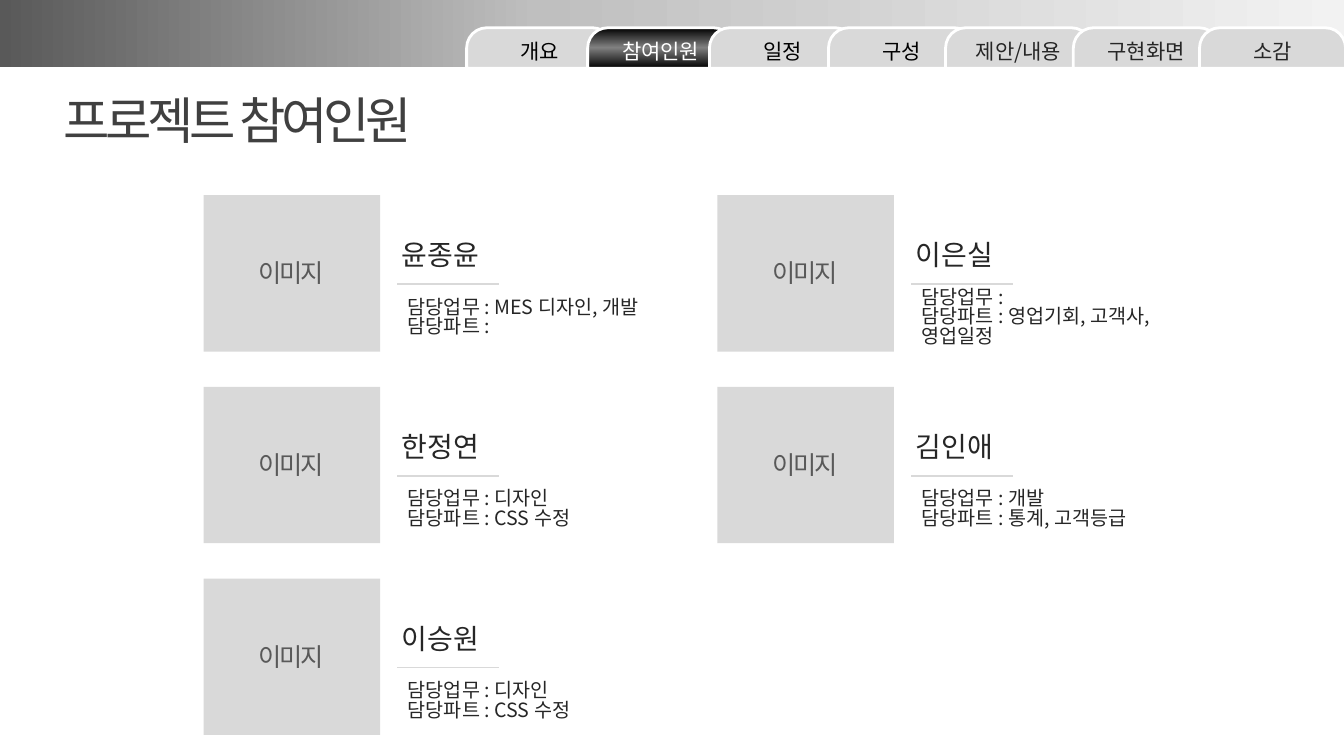
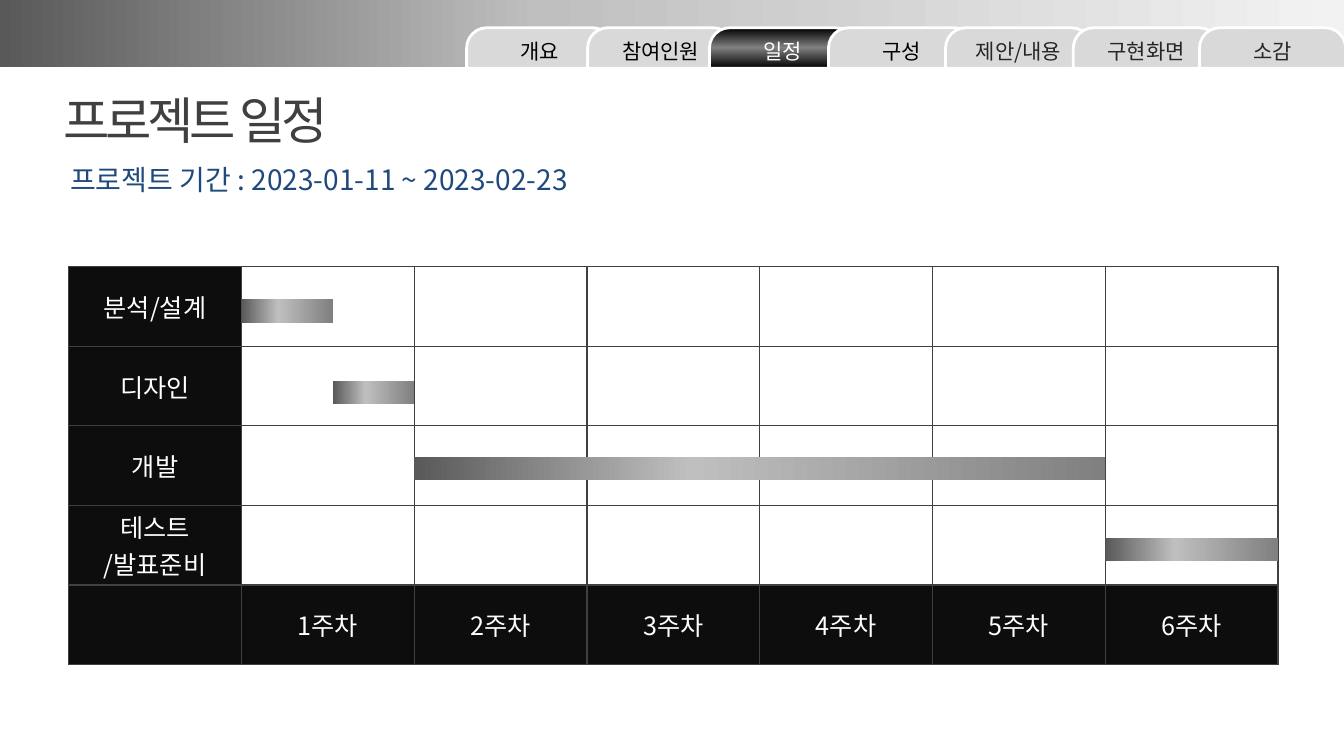
from lxml import etree
from pptx import Presentation
from pptx import util as u
from pptx.dml import color as dml_color
from pptx.enum import shapes, text
from pptx.oxml import ns

# Shared look
FONT = "Noto Sans CJK KR"
GREY, DARK, WHITE = "D9D9D9", "262626", "FFFFFF"
BAND_STOPS = [(0, "595959"), (40, "BFBFBF"), (100, "F2F2F2")]
BAR_STOPS = [(0, "595959"), (40, "BFBFBF"), (100, "808080")]
TAB_STOPS = [(0, "000000"), (51, "808080"), (100, "000000")]

# Text formats: size, colour, tracking in points, paragraph attributes
CENTER = {"alignment": text.PP_ALIGN.CENTER}
LEFT = {"alignment": text.PP_ALIGN.LEFT}
TITLE = {"size": 36, "color": "404040", "tracking": -3, "paragraph": LEFT}
PERIOD = {"size": 20, "color": "1F497D", "paragraph": LEFT}
NAME = {"size": 20, "color": DARK, "paragraph": LEFT}
DUTY = {"size": 14, "color": DARK, "paragraph": {**LEFT, "line_spacing": 0.83}}
CAPTION = {"size": 18, "color": "595959", "tracking": -1.5, "paragraph": LEFT}
TAB = {"size": 15, "color": "000000", "paragraph": CENTER}
CELL = {"size": 18, "color": WHITE, "paragraph": CENTER}

# Navigation tabs: label, left edge, text colour
TABS = [
    ("개요", 11.76, "000000"),
    ("참여인원", 14.81, "000000"),
    ("일정", 17.88, "000000"),
    ("구성", 20.88, "000000"),
    ("제안/내용", 23.83, DARK),
    ("구현화면", 27.05, DARK),
    ("소감", 30.23, DARK),
]

# Team members: name, duty, part
MEMBERS = [
    ("윤종윤", "담당업무 : MES 디자인, 개발", "담당파트 :"),
    ("이은실", "담당업무 :", "담당파트 : 영업기회, 고객사, 영업일정"),
    ("한정연", "담당업무 : 디자인", "담당파트 : CSS 수정"),
    ("김인애", "담당업무 : 개발", "담당파트 : 통계, 고객등급"),
    ("이승원", "담당업무 : 디자인", "담당파트 : CSS 수정"),
]

# Schedule: phases, and bars as top edge, first week, number of weeks
PHASES = [["분석/설계"], ["디자인"], ["개발"], ["테스트", "/발표준비"]]
WEEKS = 6
BARS = [(7.54, 0, 0.53), (9.6, 0.53, 0.47), (11.51, 1, 4), (13.56, 5, 1)]


def rgb(value):
    return dml_color.RGBColor.from_string(value)


def set_attributes(target, values):
    for name, value in values.items():
        setattr(target, name, value)


def write_text(frame, lines, style):
    """Fill a text frame with one paragraph per line."""
    for index, line in enumerate(lines):
        paragraph = frame.add_paragraph() if index else frame.paragraphs[0]
        set_attributes(paragraph, style["paragraph"])
        run = paragraph.add_run()
        run.text = line
        set_attributes(run.font, {"size": u.Pt(style["size"]), "name": FONT})
        run.font.color.rgb = rgb(style["color"])
        properties = run._r.get_or_add_rPr()
        if "tracking" in style:
            properties.set("spc", str(int(style["tracking"] * 100)))
        etree.SubElement(properties, ns.qn("a:ea"), typeface=FONT)


def add_text(slide, box, lines, style, fit=False):
    """Add a text box; a fitted one grows with its text instead of wrapping."""
    frame = slide.shapes.add_textbox(*map(u.Cm, box)).text_frame
    set_attributes(frame, {
        "word_wrap": not fit,
        "auto_size": text.MSO_AUTO_SIZE.SHAPE_TO_FIT_TEXT if fit else text.MSO_AUTO_SIZE.NONE,
        "vertical_anchor": text.MSO_ANCHOR.TOP if fit else text.MSO_ANCHOR.MIDDLE,
    })
    write_text(frame, lines, style)


def fill_gradient(shape, stops, angle):
    shape.fill.gradient()
    shape.fill.gradient_angle = angle
    stop_list = shape._element.spPr.find(ns.qn("a:gradFill")).find(ns.qn("a:gsLst"))
    stop_list.clear()
    for position, value in stops:
        stop = etree.SubElement(stop_list, ns.qn("a:gs"), pos=str(position * 1000))
        etree.SubElement(stop, ns.qn("a:srgbClr"), val=value)


def add_block(slide, box, fill, kind=shapes.MSO_SHAPE.RECTANGLE, angle=0):
    """Add an unlined shape, filled with a colour or with gradient stops."""
    shape = slide.shapes.add_shape(kind, *map(u.Cm, box))
    shape.shadow.inherit = False
    shape.line.fill.background()
    if isinstance(fill, str):
        shape.fill.solid()
        shape.fill.fore_color.rgb = rgb(fill)
    else:
        fill_gradient(shape, fill, angle)
    return shape


def add_rule(slide, left, right, top):
    line = slide.shapes.add_connector(
        shapes.MSO_CONNECTOR.STRAIGHT, *map(u.Cm, (left, top, right, top)))
    line.line.color.rgb = rgb(GREY)
    line.line.width = u.Pt(1)
    etree.SubElement(line._element.spPr, ns.qn("a:effectLst"))


def add_tab(slide, label, left, label_color, active):
    tab = add_block(slide, (left, 0.7, 3.68, 1.02), TAB_STOPS if active else GREY,
                    shapes.MSO_SHAPE.ROUND_2_SAME_RECTANGLE, 90)
    tab.adjustments[0] = 0.5
    tab.adjustments[1] = 0
    tab.line.color.rgb = rgb(WHITE)
    tab.line.width = u.Pt(2)
    tab.text_frame.vertical_anchor = text.MSO_ANCHOR.MIDDLE
    write_text(tab.text_frame, [label], {**TAB, "color": WHITE if active else label_color})


def add_page(presentation, title, title_width, active_tab):
    """Start a slide with the top band, the title and the tabs."""
    slide = presentation.slides.add_slide(presentation.slide_layouts[6])
    add_block(slide, (0, -0.03, 33.87, 1.73), BAND_STOPS)
    add_text(slide, (1.35, 2.13, title_width, 1.8), [title], TITLE, fit=True)
    for label, left, label_color in TABS:
        add_tab(slide, label, left, label_color, label == active_tab)
    return slide


def add_member(slide, left, top, name, *duties):
    add_block(slide, (left, top, 4.45, 3.94), GREY)
    add_text(slide, (left + 1.13, top + 1.45, 2.16, 1.02), ["이미지"], CAPTION, fit=True)
    add_text(slide, (left + 4.75, top + 1.04, 4.6, 0.91), [name], NAME)
    add_rule(slide, left + 4.88, left + 7.44, top + 2.24)
    add_text(slide, (left + 4.9, top + 2.64, 7.6, 0.91), duties, DUTY)


def format_cell(cell, lines, dark):
    set_attributes(cell, {"margin_top": 0, "margin_bottom": 0,
                          "vertical_anchor": text.MSO_ANCHOR.MIDDLE})
    properties = cell._tc.get_or_add_tcPr()
    for side in ("lnL", "lnR", "lnT", "lnB"):
        border = etree.SubElement(properties, ns.qn(f"a:{side}"), w=str(u.Pt(1)))
        solid = etree.SubElement(border, ns.qn("a:solidFill"))
        etree.SubElement(solid, ns.qn("a:srgbClr"), val="404040")
    if dark:
        cell.fill.solid()
        cell.fill.fore_color.rgb = rgb("0D0D0D")
    else:
        cell.fill.background()
    write_text(cell.text_frame, lines, CELL)


def add_schedule(slide):
    left, top, width, height = 1.73, 6.72, 30.48, 10.03
    column_width = width / (WEEKS + 1)
    row_count = len(PHASES) + 1
    table = slide.shapes.add_table(
        row_count, WEEKS + 1, *map(u.Cm, (left, top, width, height))).table
    set_attributes(table, {"first_row": False, "horz_banding": False})
    for column in table.columns:
        column.width = u.Cm(column_width)
    for row in table.rows:
        row.height = u.Cm(height / row_count)

    # Phases run down the first column, weeks along the last row
    empty = [[]] * WEEKS
    rows = [[phase, *empty] for phase in PHASES]
    rows.append([[], *([f"{week}주차"] for week in range(1, WEEKS + 1))])
    for row_index, row in enumerate(rows):
        for column_index, lines in enumerate(row):
            dark = column_index == 0 or row_index == len(PHASES)
            format_cell(table.cell(row_index, column_index), lines, dark)

    for bar_top, start, span in BARS:
        bar_left = left + column_width * (1 + start)
        add_block(slide, (bar_left, bar_top, column_width * span, 0.59), BAR_STOPS)


def main():
    presentation = Presentation()
    presentation.slide_width = u.Cm(33.87)
    presentation.slide_height = u.Cm(19.05)

    # Team
    team = add_page(presentation, "프로젝트 참여인원", 10.19, "참여인원")
    for index, member in enumerate(MEMBERS):
        row, column = divmod(index, 2)
        add_member(team, 5.13 + 12.95 * column, 4.92 + 4.83 * row, *member)

    # Schedule
    schedule = add_page(presentation, "프로젝트 일정", 7.82, "일정")
    add_text(schedule, (1.52, 4.11, 21.49, 0.84),
             ["프로젝트 기간 : 2023-01-11 ~ 2023-02-23"], PERIOD)
    add_schedule(schedule)

    presentation.save("out.pptx")


if __name__ == "__main__":
    main()
